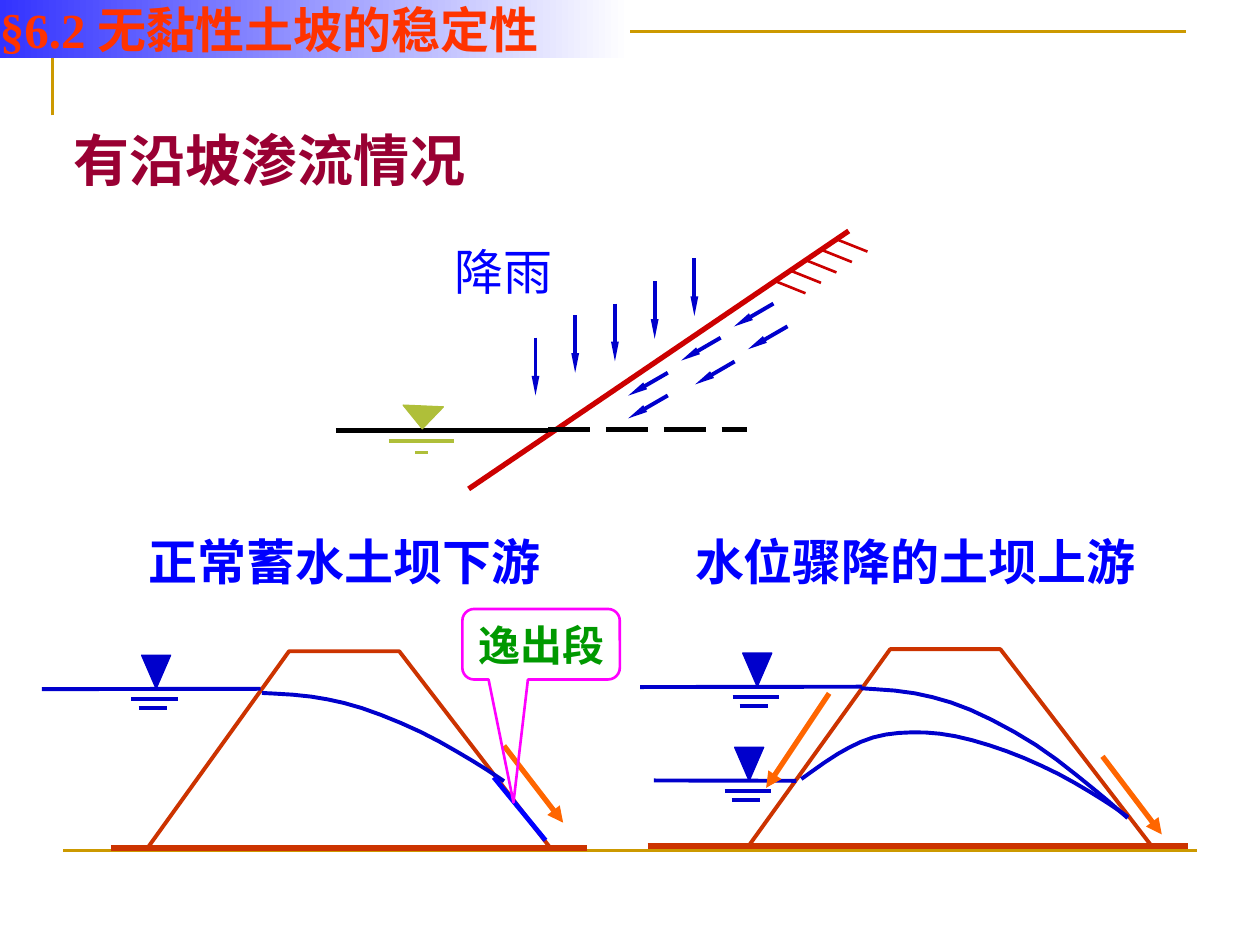
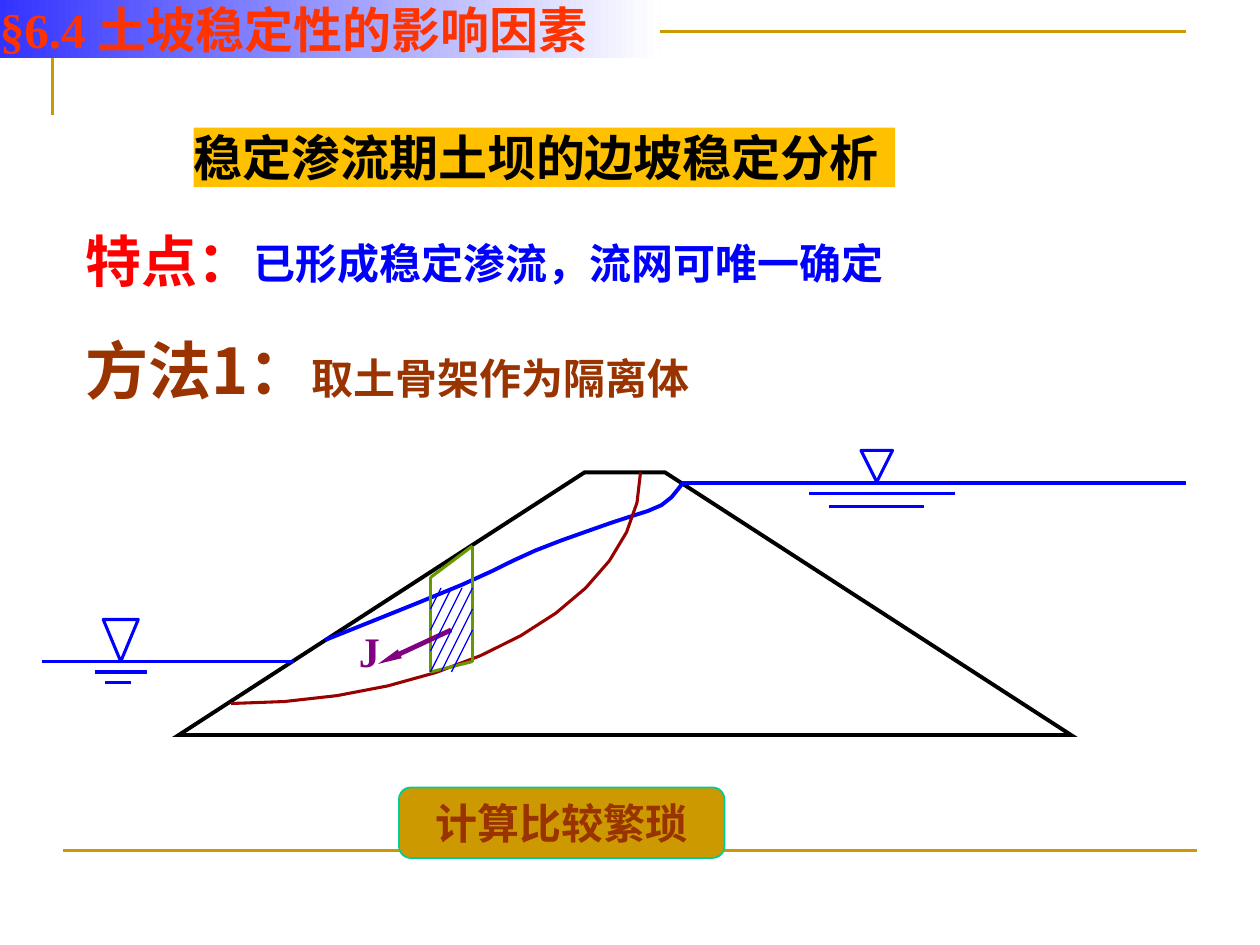
import math

from lxml import etree
from pptx import Presentation
from pptx.dml.color import RGBColor
from pptx.enum import dml, shapes, text
from pptx.oxml.ns import qn
from pptx.util import Pt

GOLD = RGBColor(0xCC, 0x99, 0x00)
AMBER = RGBColor(0xFF, 0xC0, 0x00)
INDIGO = RGBColor(0x33, 0x33, 0xFF)
WHITE = RGBColor(0xFF, 0xFF, 0xFF)
BLACK = RGBColor(0, 0, 0)
VERMILION = RGBColor(0xFF, 0x33, 0x00)
RED = RGBColor(0xFF, 0, 0)
CRIMSON = RGBColor(0x99, 0x00, 0x33)
SLOPE_RED = RGBColor(0xCC, 0, 0)
DAM_RED = RGBColor(0xCC, 0x33, 0x00)
SLIP_RED = RGBColor(0x99, 0, 0)
ORANGE = RGBColor(0xFF, 0x66, 0x00)
BROWN = RGBColor(0x99, 0x33, 0x00)
OLIVE = RGBColor(0xAF, 0xBF, 0x39)
GREEN = RGBColor(0x00, 0x99, 0x00)
SLICE_GREEN = RGBColor(0x66, 0x99, 0x00)
TEAL = RGBColor(0x00, 0xCC, 0x99)
WATER = RGBColor(0, 0, 0xCC)
BLUE = RGBColor(0, 0, 0xFF)
MAGENTA = RGBColor(0xFF, 0, 0xFF)
PURPLE = RGBColor(0x80, 0, 0x80)

TIMES, ARIAL = "Times New Roman", "Arial"
NOTO, NOTO_JP = "Noto Sans CJK SC", "Noto Sans CJK JP"
LEFT, CENTER = text.PP_ALIGN.LEFT, text.PP_ALIGN.CENTER
TOP, MIDDLE, BOTTOM = text.MSO_ANCHOR.TOP, text.MSO_ANCHOR.MIDDLE, text.MSO_ANCHOR.BOTTOM
PRESET = shapes.MSO_SHAPE
SLIM, PLAIN = ("sm", "lg"), ("med", "med")


class Region:
    def __init__(self, slide, left=0, top=0):
        self.shapes, self.left, self.top = slide.shapes, left, top

    def at(self, x, y):
        return Pt(self.left + x), Pt(self.top + y)

    def line(self, start, end, color, width, head=None, dash=None):
        stroke = self.shapes.add_connector(
            shapes.MSO_CONNECTOR.STRAIGHT, *self.at(*start), *self.at(*end))
        stroke.line.color.rgb = color
        stroke.line.width = Pt(width)
        if dash:
            stroke.line.dash_style = dash
        properties = stroke._element.spPr
        if head:
            etree.SubElement(properties.find(qn("a:ln")), qn("a:tailEnd"),
                             type="triangle", w=head[0], len=head[1])
        etree.SubElement(properties, qn("a:effectLst"))

    def outline(self, points, color, width, close=False):
        places = [self.at(*point) for point in points]
        builder = self.shapes.build_freeform(*places[0])
        builder.add_line_segments(places[1:], close=close)
        figure = builder.convert_to_shape()
        paint(figure, None, color, width)
        return figure

    def curve(self, anchors, color, width, steps=3):
        padded = [anchors[0], *anchors, anchors[-1]]
        points = [anchors[0]]
        for a, b, c, d in zip(padded, padded[1:], padded[2:], padded[3:]):
            for step in range(1, steps + 1):
                points.append(tuple(spline(*axis, step / steps) for axis in zip(a, b, c, d)))
        self.outline(points, color, width)

    def shape(self, preset, box, fill=None, border=None, width=1):
        item = self.shapes.add_shape(preset, *self.at(*box[:2]), Pt(box[2]), Pt(box[3]))
        paint(item, fill, border, width)
        return item

    def label(self, box, runs, color, bold=True, wrap=True, inset=(7.2, 3.6)):
        item = self.shapes.add_textbox(*self.at(*box[:2]), Pt(box[2]), Pt(box[3]))
        write(item, runs, color, inset=inset, bold=bold, wrap=wrap)

    def gauge(self, tip, size, dashes, color, width, fill=None, border=0.75, turn=180):
        x, y = tip
        marker = self.shape(PRESET.ISOSCELES_TRIANGLE,
                            (x - size[0] / 2, y - size[1], *size), fill, color, border)
        marker.rotation = turn
        for shift, half, drop in dashes:
            self.line((x + shift - half, y + drop), (x + shift + half, y + drop), color, width)


def spline(a, b, c, d, t):
    return (2 * b + (c - a) * t + (2 * a - 5 * b + 4 * c - d) * t ** 2
            + (3 * b - a - 3 * c + d) * t ** 3) / 2


def paint(item, fill, border, width):
    item.shadow.inherit = False
    if fill is None:
        item.fill.background()
    else:
        item.fill.solid()
        item.fill.fore_color.rgb = fill
    if border is None:
        item.line.fill.background()
    else:
        item.line.color.rgb = border
        item.line.width = Pt(width)


def write(item, runs, color, align=LEFT, anchor=TOP, inset=(7.2, 3.6), bold=True, wrap=True):
    frame = item.text_frame
    frame.word_wrap = wrap
    frame.vertical_anchor = anchor
    frame.margin_left = frame.margin_right = Pt(inset[0])
    frame.margin_top = frame.margin_bottom = Pt(inset[1])
    paragraph = frame.paragraphs[0]
    paragraph.alignment = align
    font = paragraph.font
    font.bold = bold
    font.color.rgb = color
    font.name, font.size = runs[0][2], Pt(runs[0][1])
    etree.SubElement(paragraph._p.pPr.find(qn("a:defRPr")), qn("a:ea"), typeface=NOTO)
    for words, size, face in runs:
        run = paragraph.add_run()
        run.text = words
        if (size, face) != runs[0][1:]:
            run.font.name, run.font.size = face, Pt(size)


def add_frame(slide):
    page = Region(slide)
    page.outline([(30, 66), (30, 18), (678, 18)], GOLD, 1.5)
    page.line((36, 486), (684, 486), GOLD, 1.5)


def add_heading(slide, title, width):
    bar = Region(slide).shape(PRESET.RECTANGLE, (0, -0.7, width, 34), WHITE)
    bar.fill.gradient()
    bar.fill.gradient_angle = 0
    for stop, color in zip(bar.fill.gradient_stops, (INDIGO, WHITE)):
        stop.color.rgb = color
    write(bar, [(title, 28, TIMES)], VERMILION, anchor=BOTTOM, inset=(0, 0))


def add_rain_slope(slide, left, top):
    slope = Region(slide, left, top)
    slope.line((293, 0), (75.8, 147.4), SLOPE_RED, 3)
    slope.line((0, 114.2), (121.2, 114.2), BLACK, 3)
    slope.gauge((49.6, 113), (23, 13), [(-0.7, 18.7, 7), (-0.7, 3.6, 13.6)],
                OLIVE, 2.25, fill=OLIVE, turn=182.5)
    for index, y in enumerate((61, 48, 41.5, 28.6, 15.6)):
        x = 114 + 22.7 * index
        slope.line((x, y), (x, y + 33), WATER, 2.25, SLIM)
    slope.line((121.2, 113.6), (235, 113.6), BLACK, 3, dash=dml.MSO_LINE.LONG_DASH)
    for x, y in ((250, 41.5), (258, 54.5), (227.8, 74.6), (189.6, 94),
                 (219.8, 61), (189.6, 81)):
        slope.line((x, y), (x - 22.6, y + 13.1), WATER, 2.25, SLIM)
    slope.label((60.7, 2.6, 75.6, 41), [("降雨", 28, TIMES)], BLUE, bold=False)
    for index in range(5):
        x, y = 250.8 + 8.85 * index, 28.6 - 5.95 * index
        slope.line((x, y), (x + 17.5, y + 7), SLOPE_RED, 1.5)


def add_dam_level(dam, start, end, x):
    dam.line(start, end, WATER, 2.25)
    dam.gauge((x, end[1]), (16.6, 19.2), [(-0.7, 13.4, 6), (-2, 8, 11.2)],
              WATER, 2.25, fill=WATER)


def add_dam(slide, left, top, base_left, level_left, title, title_box):
    dam = Region(slide, left, top)
    dam.label(title_box, [(title, 28, TIMES)], BLUE, wrap=False)
    dam.line((base_left, 112.4), (251.3, 112.4), DAM_RED, 3)
    dam.outline([(0, 112.6), (81, 0), (144, 0), (230, 112)], DAM_RED, 2.25, close=True)
    add_dam_level(dam, (level_left, 21.6), (64.8, 21.4), 5)
    return dam


def add_downstream_dam(slide, left, top):
    dam = add_dam(slide, left, top, -20.9, -60.3, "正常蓄水土坝下游", (-6.4, -72, 240, 41))
    dam.curve([(65.5, 23.8), (93.6, 25.9), (122.4, 32.4), (156.2, 46.1),
               (185.8, 62.6), (203.8, 74.2)], WATER, 2.25)
    dam.line((198, 72), (227.5, 108), BLUE, 2.75)
    dam.line((203.8, 54), (237.6, 97.9), ORANGE, 3, PLAIN)
    exit_note = dam.shape(PRESET.ROUNDED_RECTANGULAR_CALLOUT,
                          (180, -24.2, 90, 40.3), None, MAGENTA, 1.5)
    for index, value in enumerate((-0.175, 2.243, 0.167)):
        exit_note.adjustments[index] = value
    write(exit_note, [("逸出段", 24, ARIAL)], GREEN, CENTER, MIDDLE, (0, 3.6))


def add_upstream_dam(slide, left, top):
    dam = add_dam(slide, left, top, -57.6, -61.9, "水位骤降的土坝上游", (-37.6, -70.7, 268, 41))
    dam.curve([(64.1, 22.3), (95, 25.2), (126.7, 34.6), (164.2, 54.7),
               (197.3, 79.9), (216.7, 96.5)], WATER, 2.25)
    add_dam_level(dam, (-54, 75), (27.4, 75.2), 0.4)
    dam.curve([(30.2, 74.2), (51.1, 59.8), (71.3, 50.4), (93.6, 47.5), (118.1, 49.7),
               (147.6, 58.3), (177.1, 71.3), (203, 86.4), (216.7, 95.8)], WATER, 2.25)
    dam.line((202.3, 61.2), (236.2, 105.8), ORANGE, 3, PLAIN)
    dam.line((46.1, 25.2), (10.1, 79.2), ORANGE, 3, PLAIN)


def add_method_text(slide, left, top):
    method = Region(slide, left, top)
    banner = method.shape(PRESET.RECTANGLE, (68.8, 0.2, 401, 34), AMBER)
    write(banner, [("稳定渗流期土坝的边坡稳定分析", 28, NOTO)], BLACK, inset=(0, 0))
    method.label((0, 113, 450, 50), [("方法1：", 36, NOTO_JP),
                                     ("取土骨架作为隔离体", 24, NOTO)], BROWN)
    method.label((0, 53.3, 120, 60), [("特点：", 32, ARIAL)], RED)
    method.label((96.2, 59.3, 450, 36), [("已形成稳定渗流，流网可唯一确定", 24, NOTO)], BLUE)


def add_seepage_section(slide, left, top):
    dam = Region(slide, left, top)
    embankment = dam.outline([(0, 150), (231.8, 0), (277.9, 0), (509.8, 150)],
                             BLACK, 2.25, close=True)
    etree.SubElement(embankment._element.spPr.find(qn("a:ln")), qn("a:miter"), lim="800000")
    dam.line((287.8, 6), (575.8, 6), BLUE, 1.75)
    dam.line((360, 12.2), (443.5, 12.2), BLUE, 1.75)
    dam.gauge((398.8, 5.4), (18, 18), [(-0.2, 27, 14)], BLUE, 1.75, border=1.75)
    dam.curve([(288, 6), (275.8, 18.7), (247, 28.8), (203.8, 44.6), (162, 64.1),
               (83.5, 95.8)], BLUE, 2.25)
    dam.gauge((-33.2, 108), (20, 24), [(0, 15, 6), (-1.5, 7.5, 12)], BLUE, 1.75, border=1.75)
    dam.line((-78.2, 108), (65.8, 108), BLUE, 1.75)
    angles = [math.pi / 2 * step / 12 for step in range(13)]
    dam.outline([(29.8 + 234 * math.sin(a), 132 * math.cos(a)) for a in angles],
                SLIP_RED, 1.75)
    add_soil_slice(slide, left + 143.8, top + 42)


def add_soil_slice(slide, left, top):
    column = Region(slide, left, top)
    for start, end in (((0, 18), (0, 72)), ((24, 0), (24, 66)),
                       ((24, 0), (0, 18)), ((24, 66), (0, 72))):
        column.line(start, end, SLICE_GREEN, 1.75)
    column.line((11.8, 48), (-30, 67.4), PURPLE, 2.75, SLIM)
    column.label((-48, 42, 30, 36), [("J", 24, TIMES)], PURPLE)
    for step in range(1, 5):
        column.line((6 * step, 24), (0, 24 + 12 * step), BLUE, 0.75)
    for step in (1, 2):
        column.line((24, 24 + 12 * step), (6 * step, 72), BLUE, 0.75)


def add_conclusion(slide, left, top):
    conclusion = Region(slide, left, top).shape(
        PRESET.ROUNDED_RECTANGLE, (0, 0, 186, 40.3), GOLD, TEAL, 1)
    write(conclusion, [("计算比较繁琐", 24, TIMES)], BROWN, CENTER, MIDDLE)


def build_seepage_cases(slide):
    add_frame(slide)
    Region(slide).label((41.8, 71.6, 224.6, 38), [("有沿坡渗流情况", 32, ARIAL)],
                        CRIMSON, wrap=False, inset=(0, 0))
    add_rain_slope(slide, 192, 132)
    add_upstream_dam(slide, 427.7, 371)
    add_downstream_dam(slide, 84.2, 372.2)
    add_heading(slide, "§6.2 无黏性土坡的稳定性", 360)


def build_steady_seepage(slide):
    add_frame(slide)
    add_method_text(slide, 41.8, 72.7)
    add_seepage_section(slide, 102.2, 270)
    add_conclusion(slide, 228, 450)
    add_heading(slide, "§6.4 土坡稳定性的影响因素", 377)


def main():
    deck = Presentation()
    deck.slide_width, deck.slide_height = Pt(720), Pt(540)
    for build in (build_seepage_cases, build_steady_seepage):
        build(deck.slides.add_slide(deck.slide_layouts[6]))
    deck.save("out.pptx")


if __name__ == "__main__":
    main()
